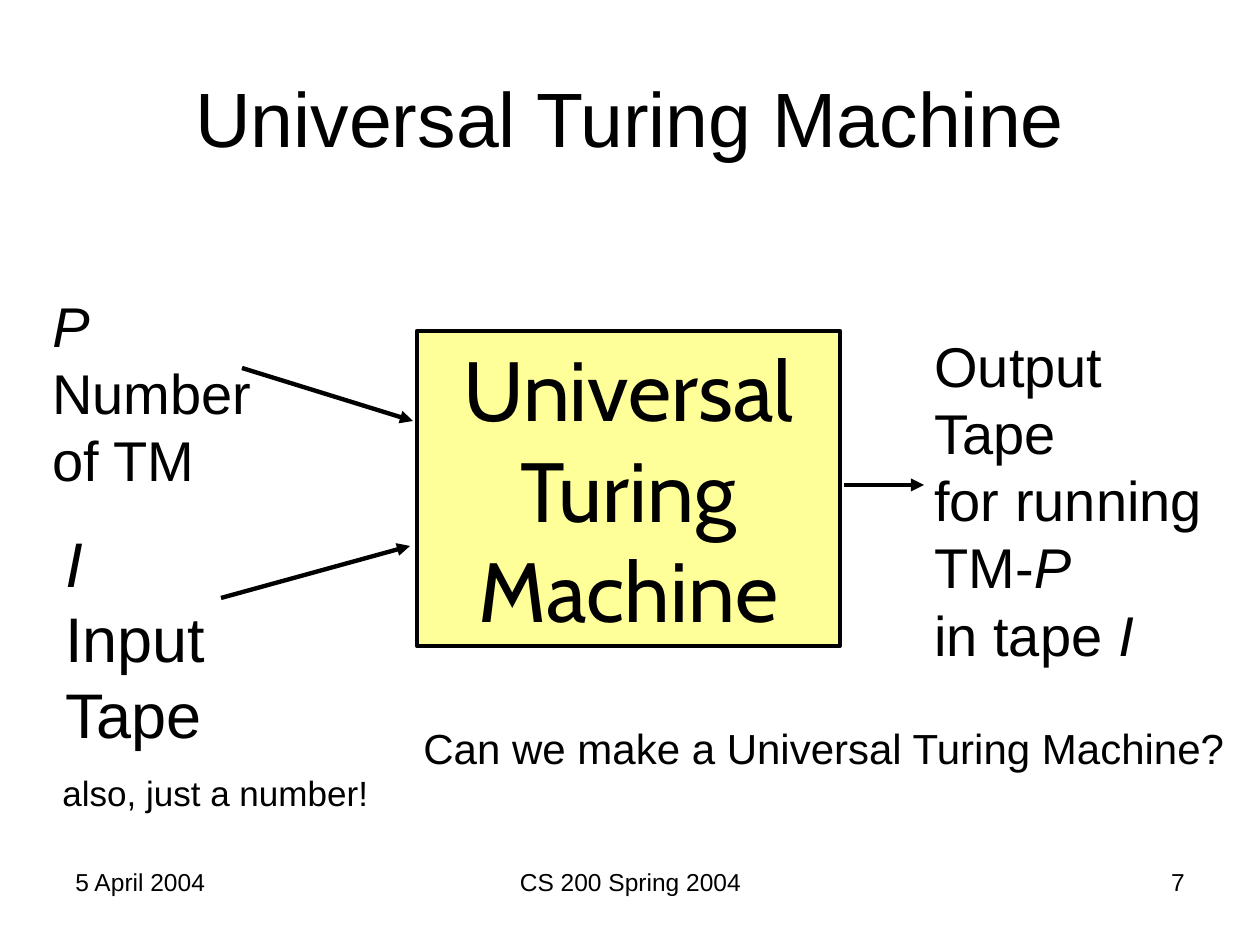
from lxml import etree
from pptx import Presentation
from pptx.dml.color import RGBColor
from pptx.enum.shapes import MSO_CONNECTOR, MSO_SHAPE
from pptx.enum.text import MSO_ANCHOR, PP_ALIGN
from pptx.oxml.ns import qn
from pptx.util import Emu, Pt

LINE, RECT = MSO_CONNECTOR.STRAIGHT, MSO_SHAPE.RECTANGLE
TOP, MIDDLE = MSO_ANCHOR.TOP, MSO_ANCHOR.MIDDLE
LEFT, CENTER, RIGHT = PP_ALIGN.LEFT, PP_ALIGN.CENTER, PP_ALIGN.RIGHT

BLACK, YELLOW = "000000", "FFFF99"
STROKE = 2.5

# Text is a list of paragraphs; in each, every second run is italic.
TITLE = ((63, 38, 1134, 158), [["Universal Turing Machine"]])
MACHINE = ((417, 331, 423, 315), [["Universal"], ["Turing"], ["Machine"]])

# place, size, wrap, text
LABELS = [
    ((40, 285, 243, 214), 32, True, [["", "P", " Number"], ["of TM"]]),
    ((53, 518, 183, 239), 36, False, [["", "I"], ["Input"], ["Tape"]]),
    ((50, 765, 331, 55), 20, False, [["also, just a number!"]]),
    ((922, 325, 312, 349), 32, True,
     [["Output"], ["Tape"], ["for running"], ["TM-", "P"], ["in tape ", "I"]]),
    ((411, 716, 828, 63), 24, False, [["Can we make a Universal Turing Machine?"]]),
]

# left, width, alignment, text
FOOTER = [
    (63, 294, LEFT, "5 April 2004"),
    (431, 399, CENTER, "CS 200 Spring 2004"),
    (903, 294, RIGHT, "7"),
]
FOOT_TOP, FOOT_HIGH = 861, 66

ARROWS = [
    (242, 368, 413, 421),
    (221, 598, 410, 546),
    (844, 485, 924, 485),
]


def px(n):
    return Emu(round(n * 914400 / 126))


def color(code):
    return RGBColor.from_string(code)


def write(shape, text, size, font="Arial", align=LEFT, anchor=TOP, wrap=True):
    frame = shape.text_frame
    form = {"word_wrap": wrap, "vertical_anchor": anchor,
            "margin_left": Pt(7.2), "margin_right": Pt(7.2),
            "margin_top": Pt(3.6), "margin_bottom": Pt(3.6)}
    for key, value in form.items():
        setattr(frame, key, value)
    for i, parts in enumerate(text):
        para = frame.add_paragraph() if i else frame.paragraphs[0]
        para.alignment = align
        for j, part in enumerate(parts):
            if not part:
                continue
            run = para.add_run()
            run.text = part
            style = {"name": font, "size": Pt(size), "italic": j % 2 == 1}
            for key, value in style.items():
                setattr(run.font, key, value)
            run.font.color.rgb = color(BLACK)


def label(slide, place, text, size, **form):
    write(slide.shapes.add_textbox(*map(px, place)), text, size, **form)


def stroke(line):
    line.color.rgb = color(BLACK)
    line.width = Pt(STROKE)


def arrow(slide, ends):
    link = slide.shapes.add_connector(LINE, *map(px, ends))
    stroke(link.line)
    etree.SubElement(link.line._get_or_add_ln(), qn("a:tailEnd"), type="triangle")
    etree.SubElement(link._element.spPr, qn("a:effectLst"))


def main():
    deck = Presentation()
    deck.slide_width, deck.slide_height = px(1260), px(945)
    slide = deck.slides.add_slide(deck.slide_layouts[5])

    place, text = TITLE
    title = slide.shapes.title
    title.left, title.top, title.width, title.height = map(px, place)
    write(title, text, 44, align=CENTER, anchor=MIDDLE)

    place, text = MACHINE
    box = slide.shapes.add_shape(RECT, *map(px, place))
    box.shadow.inherit = False
    box.fill.solid()
    box.fill.fore_color.rgb = color(YELLOW)
    stroke(box.line)
    write(box, text, 48, font="Cabin", align=CENTER, anchor=MIDDLE)

    for place, size, wrap, text in LABELS:
        label(slide, place, text, size, wrap=wrap)
    for ends in ARROWS:
        arrow(slide, ends)
    for left, width, align, text in FOOTER:
        label(slide, (left, FOOT_TOP, width, FOOT_HIGH), [[text]], 14, align=align)

    deck.save("out.pptx")


if __name__ == "__main__":
    main()
